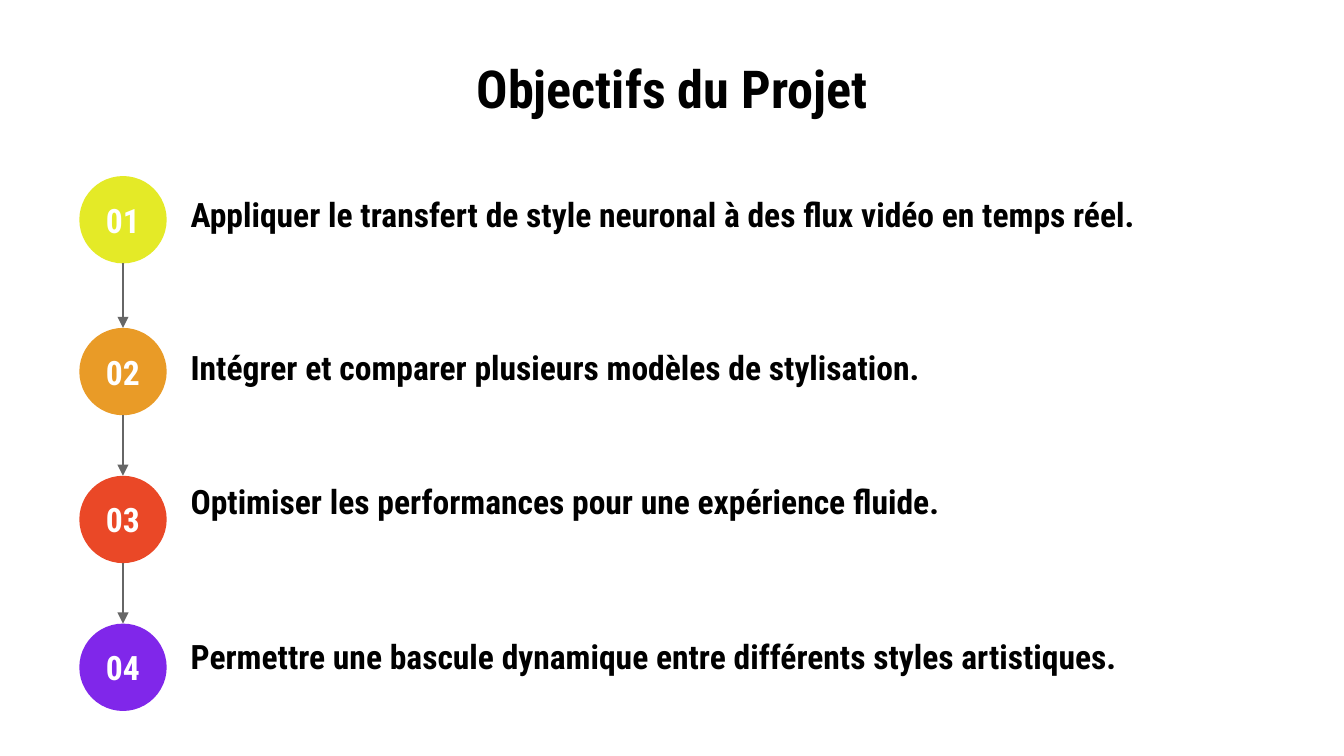
from dataclasses import dataclass
from itertools import pairwise

from lxml import etree
from pptx import Presentation
from pptx.dml.color import RGBColor
from pptx.enum.shapes import MSO_CONNECTOR, MSO_SHAPE
from pptx.enum.text import MSO_ANCHOR, MSO_AUTO_SIZE, PP_ALIGN
from pptx.oxml.ns import qn
from pptx.slide import Slide
from pptx.util import Inches, Pt

OVAL = MSO_SHAPE.OVAL
STRAIGHT = MSO_CONNECTOR.STRAIGHT
MIDDLE = MSO_ANCHOR.MIDDLE
NO_AUTOFIT = MSO_AUTO_SIZE.NONE
LEFT, CENTER = PP_ALIGN.LEFT, PP_ALIGN.CENTER

BLACK = RGBColor(0x00, 0x00, 0x00)
WHITE = RGBColor(0xFF, 0xFF, 0xFF)
GRAY = RGBColor(0x66, 0x66, 0x66)
YELLOW = RGBColor(0xE4, 0xEA, 0x27)
ORANGE = RGBColor(0xE9, 0x9B, 0x27)
RED = RGBColor(0xEA, 0x48, 0x27)
PURPLE = RGBColor(0x80, 0x27, 0xEA)

TITLE_ONLY = 5
SLIDE_WIDTH = 10
SLIDE_HEIGHT = SLIDE_WIDTH * 9 / 16
CIRCLE_LEFT, CIRCLE_SIZE = 0.59, 0.65
CIRCLE_CENTER = CIRCLE_LEFT + CIRCLE_SIZE / 2
LABEL_LEFT, LABEL_HEIGHT = 1.32, 0.36

# Circle top, label top, label width, colour, wording
OBJECTIVES = [
    (1.31, 1.41, 7.74, YELLOW,
     "Appliquer le transfert de style neuronal à des flux vidéo en temps réel."),
    (2.44, 2.55, 7.55, ORANGE,
     "Intégrer et comparer plusieurs modèles de stylisation."),
    (3.54, 3.55, 6.24, RED,
     "Optimiser les performances pour une expérience fluide."),
    (4.64, 4.7, 7.55, PURPLE,
     "Permettre une bascule dynamique entre différents styles artistiques."),
]


def write_text(shape, text, *, font_name, size=18, color=BLACK, align=LEFT):
    frame = shape.text_frame
    frame.word_wrap = True
    frame.auto_size = NO_AUTOFIT
    frame.vertical_anchor = MIDDLE
    frame.margin_left = frame.margin_right = Inches(0.1)
    frame.margin_top = frame.margin_bottom = Inches(0.1)
    frame.text = text
    paragraph = frame.paragraphs[0]
    paragraph.alignment = align
    font = paragraph.runs[0].font
    font.name = font_name
    font.size = Pt(size)
    font.bold = True
    font.color.rgb = color


@dataclass
class SlideBuilder:
    slide: Slide
    font_name: str = "Roboto Condensed"

    def title(self, text, left, top, width, height):
        title = self.slide.shapes.title
        title.left, title.top = Inches(left), Inches(top)
        title.width, title.height = Inches(width), Inches(height)
        write_text(title, text, font_name=self.font_name, size=28, align=CENTER)

    def numbered_circle(self, number, top, color):
        circle = self.slide.shapes.add_shape(
            OVAL, Inches(CIRCLE_LEFT), Inches(top),
            Inches(CIRCLE_SIZE), Inches(CIRCLE_SIZE))
        circle.shadow.inherit = False
        circle.fill.solid()
        circle.fill.fore_color.rgb = color
        circle.line.fill.background()
        write_text(circle, f"{number:02}", font_name=self.font_name,
                   color=WHITE, align=CENTER)

    def label(self, text, top, width):
        box = self.slide.shapes.add_textbox(
            Inches(LABEL_LEFT), Inches(top), Inches(width), Inches(LABEL_HEIGHT))
        write_text(box, text, font_name=self.font_name)

    def down_arrow(self, start, end):
        arrow = self.slide.shapes.add_connector(
            STRAIGHT, Inches(CIRCLE_CENTER), Inches(start),
            Inches(CIRCLE_CENTER), Inches(end))
        arrow.line.color.rgb = GRAY
        arrow.line.width = Pt(0.75)
        properties = arrow._element.spPr
        etree.SubElement(properties.find(qn("a:ln")), qn("a:tailEnd"), type="triangle")
        etree.SubElement(properties, qn("a:effectLst"))


def main():
    presentation = Presentation()
    presentation.slide_width = Inches(SLIDE_WIDTH)
    presentation.slide_height = Inches(SLIDE_HEIGHT)
    layout = presentation.slide_layouts[TITLE_ONLY]
    builder = SlideBuilder(presentation.slides.add_slide(layout))

    builder.title("Objectifs du Projet", 0.5, 0.45, 9, 0.41)
    for number, objective in enumerate(OBJECTIVES, start=1):
        circle_top, label_top, label_width, color, text = objective
        builder.numbered_circle(number, circle_top, color)
        builder.label(text, label_top, label_width)
    for upper, lower in pairwise(OBJECTIVES):
        builder.down_arrow(upper[0] + CIRCLE_SIZE, lower[0])

    presentation.save("out.pptx")


if __name__ == "__main__":
    main()
